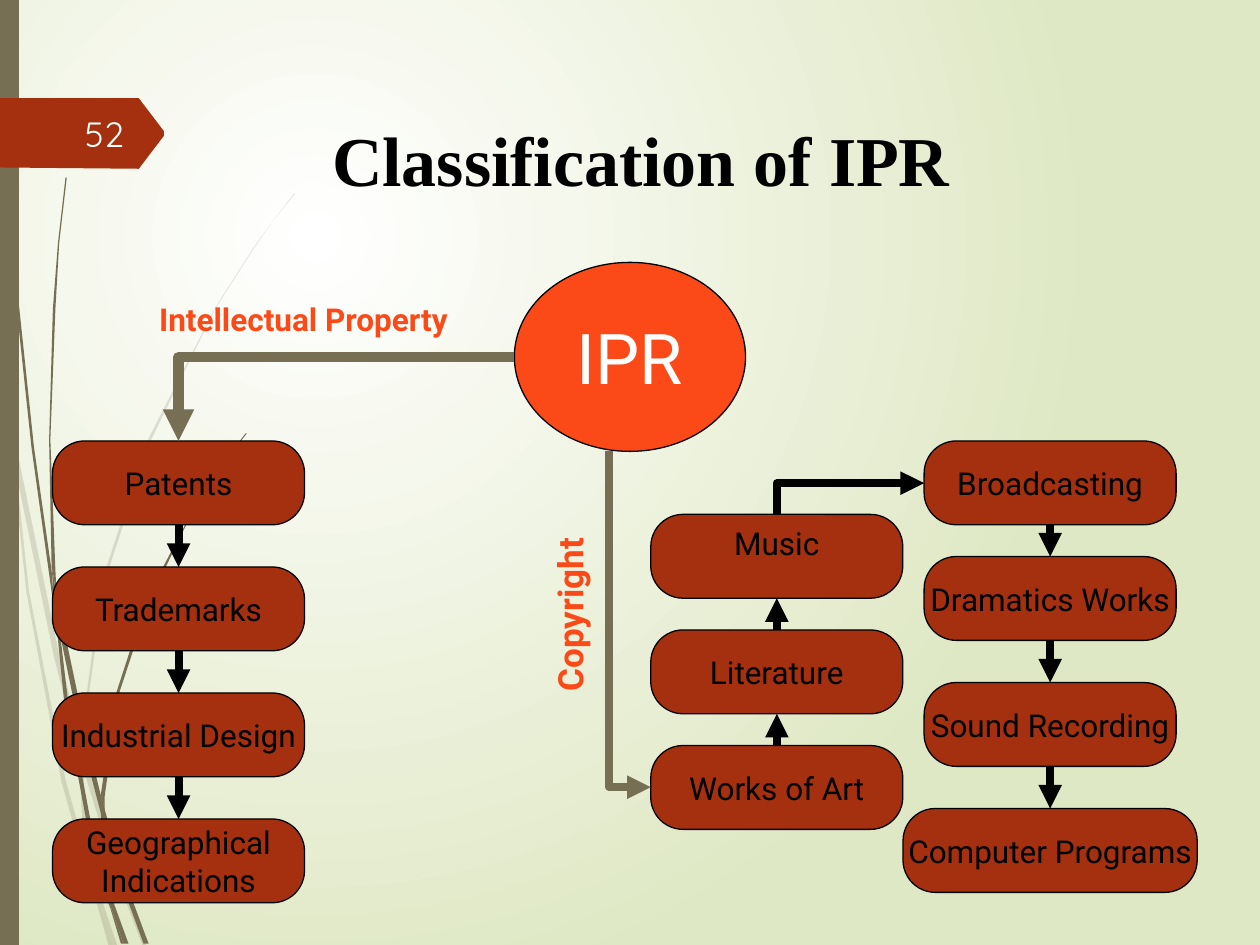
"""Build the slide that classifies intellectual property rights."""
from dataclasses import dataclass

from lxml.etree import SubElement
from pptx import Presentation
from pptx.dml.color import RGBColor
from pptx.enum.shapes import MSO_CONNECTOR, MSO_SHAPE
from pptx.enum.text import MSO_ANCHOR, PP_ALIGN
from pptx.oxml.ns import qn
from pptx.util import Cm, Pt


@dataclass(frozen=True)
class Theme:
    black: RGBColor = RGBColor.from_string("000000")
    white: RGBColor = RGBColor.from_string("FFFFFF")
    number: RGBColor = RGBColor.from_string("FEFFFF")
    meadow: RGBColor = RGBColor.from_string("DFE8C4")
    olive: RGBColor = RGBColor.from_string("766F54")
    rust: RGBColor = RGBColor.from_string("A53010")
    orange: RGBColor = RGBColor.from_string("FB4A18")
    body_font: str = "Roboto"
    title_font: str = "Times New Roman"
    number_font: str = "Quicksand"
    body_size: int = 18
    label_size: int = 20
    display_size: int = 40


theme = Theme()


def write(shape, text, font=theme.body_font, size=theme.body_size, color=theme.black,
          bold=False, align=PP_ALIGN.CENTER, anchor=MSO_ANCHOR.MIDDLE, wrap=False):
    frame = shape.text_frame
    frame.word_wrap = wrap
    frame.vertical_anchor = anchor
    frame.text = text
    for para in frame.paragraphs:
        para.alignment = align
        para.font.name = font
        para.font.size = Pt(size)
        para.font.bold = bold
        para.font.color.rgb = color


def arrow(begin, end, color=theme.black, width=4.5, bend=None):
    points = [begin, end]
    if bend == "down first":
        middle_x, middle_y = [(a + b) / 2 for a, b in zip(begin, end)]
        points = [(middle_x - (y - middle_y), middle_y + (x - middle_x)) for x, y in points]
    kind = MSO_CONNECTOR.ELBOW if bend else MSO_CONNECTOR.STRAIGHT
    connector = page.shapes.add_connector(kind, *[Cm(value) for point in points for value in point])
    connector.line.color.rgb = color
    connector.line.width = Pt(width)
    properties = connector.element.spPr
    if bend:
        properties.find(qn("a:prstGeom")).set("prst", "bentConnector2")
    if bend == "down first":
        properties.find(qn("a:xfrm")).set("rot", str(270 * 60000))
    SubElement(properties.find(qn("a:ln")), qn("a:tailEnd"), type="triangle")
    SubElement(properties, qn("a:effectLst"))


deck = Presentation()
deck.slide_width, deck.slide_height = Cm(25.4), Cm(19.05)
page = deck.slides.add_slide(deck.slide_layouts[5])

backdrop = page.background.fill
backdrop.gradient()
for stop, color in zip(backdrop.gradient_stops, (theme.white, theme.meadow)):
    stop.color.rgb = color
backdrop.gradient_stops[0].position = 0
backdrop.gradient_stops[1].position = 1
gradient = page.element.xpath(".//a:gradFill")[0]
gradient.remove(gradient.find(qn("a:lin")))
glow = SubElement(gradient, qn("a:path"), path="circle")
SubElement(glow, qn("a:fillToRect"), l="50000", t="50000", r="100000", b="100000")

pale_blades = [
    [(0, 282), (6, 322), (8, 350), (13, 376), (23, 469), (52, 619), (70, 683), (76, 714), (89, 750),
     (86, 750), (76, 714), (69, 693), (49, 621), (21, 470), (8, 350), (8, 344), (0, 299)],
    [(11, 345), (47, 520), (64, 586), (69, 607), (95, 692), (116, 750),
     (113, 750), (92, 694), (66, 610), (63, 599), (43, 522), (13, 376)],
    [(63, 599), (66, 608), (68, 646), (78, 706), (93, 750),
     (89, 750), (76, 714), (74, 707), (70, 683), (65, 646)],
    [(66, 596), (64, 586), (81, 461), (118, 348), (171, 244), (201, 197), (217, 175), (234, 153),
     (234, 154), (217, 175), (201, 198), (171, 245), (120, 349), (83, 462), (66, 584)],
]
dark_blades = [
    [(2, 0), (3, 48), (5, 110), (12, 233), (25, 355), (42, 477), (43, 481),
     (41, 453), (27, 355), (14, 232), (6, 109), (3, 48), (3, 0)],
    [(45, 472), (70, 590), (80, 631), (85, 649), (102, 706), (118, 749),
     (114, 749), (99, 708), (83, 656), (80, 645), (66, 592), (48, 505)],
    [(41, 449), (45, 472), (48, 505), (54, 556), (73, 657), (83, 691), (87, 717), (98, 749),
     (96, 749), (88, 722), (83, 708), (70, 659), (51, 557), (43, 477)],
    [(52, 141), (46, 193), (42, 245), (39, 349), (41, 449), (45, 472),
     (44, 453), (40, 349), (44, 245), (47, 193), (53, 141)],
    [(80, 631), (92, 551), (117, 474), (153, 405), (173, 373), (184, 358), (195, 344), (196, 344),
     (184, 359), (173, 374), (153, 406), (119, 476), (94, 552), (83, 633), (83, 641)],
    [(80, 631), (83, 641), (83, 656), (90, 716), (102, 749),
     (98, 749), (87, 717), (83, 691), (80, 645)],
]
number_tag = [(0, 78), (110, 78), (111, 79), (130, 104), (130, 108), (111, 133), (110, 134), (0, 133)]
side_bar = [(0, 0), (15, 0), (15, 750), (0, 750)]

outlines = [(blade, theme.olive, 20000) for blade in pale_blades]
outlines += [(outline, theme.olive, None) for outline in dark_blades + [side_bar]]
outlines += [(number_tag, theme.rust, None)]
for outline, color, alpha in outlines:
    builder = page.shapes.build_freeform(*outline[0], scale=Cm(2.54) / 100)
    builder.add_line_segments(outline[1:], close=True)
    shape = builder.convert_to_shape()
    shape.shadow.inherit = False
    shape.line.fill.background()
    shape.fill.solid()
    shape.fill.fore_color.rgb = color
    if alpha:
        tint = shape.element.spPr.find(qn("a:solidFill")).find(qn("a:srgbClr"))
        SubElement(tint, qn("a:alpha"), val=str(alpha))

title = page.shapes.title
title.left, title.top, title.width, title.height = Cm(3.38), Cm(1.7), Cm(19.08), Cm(2.46)
write(title, "Classification of IPR", font=theme.title_font, size=theme.display_size,
      bold=True, anchor=MSO_ANCHOR.BOTTOM, wrap=True)

box_width, box_height = 5.08, 1.69
left_x, middle_x, right_x = 3.6, 15.66, 21.17
left_tops = [8.89 + 2.54 * row for row in range(4)]
middle_tops = [15.03 - 2.33 * row for row in range(3)]
right_tops = [8.89] + [11.22 + 2.54 * row for row in range(3)]
columns = [
    (left_x, left_tops, ["Patents", "Trademarks", "Industrial Design", "Geographical\nIndications"]),
    (middle_x, middle_tops, ["Works of Art", "Literature", "Music"]),
    (right_x, right_tops, ["Broadcasting", "Dramatics Works", "Sound Recording", "Computer Programs"]),
]
nodes = [(MSO_SHAPE.OVAL, 12.7, 5.29, 4.66, 3.81, "IPR")]
for center, tops, names in columns:
    for top, name in zip(tops, names):
        width = 5.93 if name == "Computer Programs" else box_width
        nodes.append((MSO_SHAPE.ROUNDED_RECTANGLE, center, top, width, box_height, name))

for kind, center, top, width, height, name in nodes:
    box = page.shapes.add_shape(kind, Cm(center - width / 2), Cm(top), Cm(width), Cm(height))
    box.shadow.inherit = False
    box.fill.solid()
    box.line.color.rgb = theme.black
    box.line.width = Pt(0.75)
    if kind == MSO_SHAPE.OVAL:
        box.fill.fore_color.rgb = theme.orange
        write(box, name, size=theme.display_size, color=theme.white)
    else:
        box.fill.fore_color.rgb = theme.rust
        box.adjustments[0] = 0.385
        write(box, name, anchor=MSO_ANCHOR.TOP if name == "Music" else MSO_ANCHOR.MIDDLE)
        if name == "Music":
            box.text_frame.margin_top = 0

for center, tops, names in columns:
    for top, following in zip(tops, tops[1:]):
        if following > top:
            arrow((center, top + box_height), (center, following))
        else:
            arrow((center, top), (center, following + box_height))
arrow((10.37, 7.2), (left_x, left_tops[0]), color=theme.olive, width=6, bend="across first")
arrow((12.28, 9.1), (middle_x - box_width / 2, 15.87), color=theme.olive, bend="down first")
arrow((middle_x, middle_tops[-1]), (right_x - box_width / 2, 9.74), bend="down first")

labels = [
    ("Intellectual Property", 2.96, 5.93, 7.16, 1.02, 0,
     dict(color=theme.orange, bold=True, align=PP_ALIGN.LEFT, anchor=MSO_ANCHOR.TOP)),
    ("Copyright", 9.5, 11.66, 3.96, 1.1, 270,
     dict(size=theme.label_size, color=theme.orange, bold=True, align=PP_ALIGN.LEFT, anchor=MSO_ANCHOR.TOP)),
    ("52", 1.12, 2.18, 1.63, 1.02, 0,
     dict(font=theme.number_font, size=theme.label_size, color=theme.number, align=PP_ALIGN.RIGHT)),
]
for text, left, top, width, height, rotation, style in labels:
    label = page.shapes.add_textbox(Cm(left), Cm(top), Cm(width), Cm(height))
    label.rotation = rotation
    write(label, text, wrap=True, **style)

deck.save("out.pptx")
